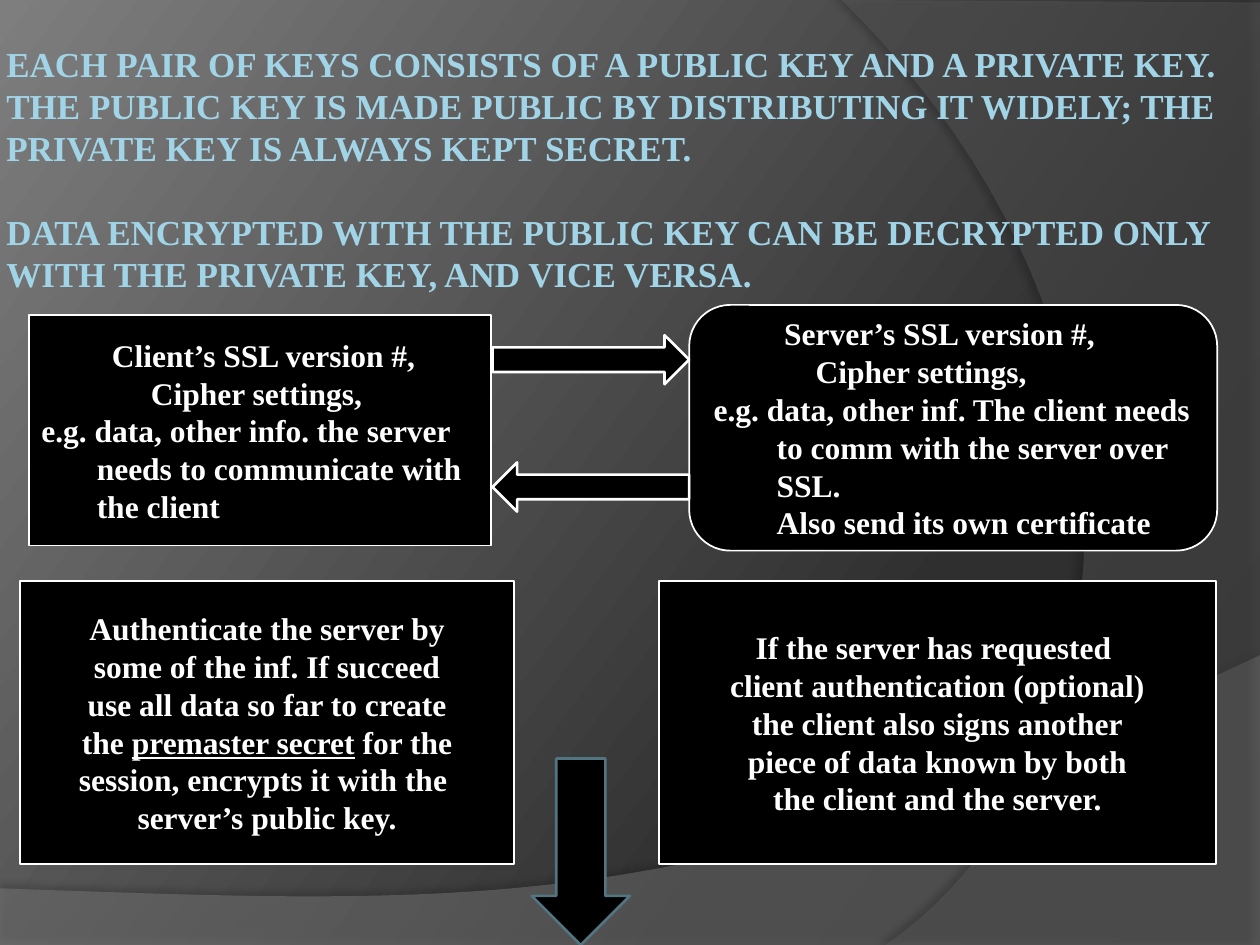
from copy import deepcopy
from lxml import etree
from pptx import Presentation
from pptx import util as u
from pptx.dml.color import RGBColor
from pptx.enum import shapes, text
from pptx.oxml import ns

Inches = u.Inches
COLORS = {
    "black": "000000", "white": "FFFFFF", "title": "A1D4E7", "arrow": "517682",
    "dark": "282828", "middle": "2F2F2F", "light": "7E7E7E",
    "wave": "7F7F7F", "curve": "5E5E5E",
}
FONT = "Times New Roman"


def color(name):
    return RGBColor.from_string(COLORS[name])


def format_runs(paragraph, size, color_name):
    for run in paragraph.runs:
        run.font.name = FONT
        run.font.size = u.Pt(size)
        run.font.bold = True
        run.font.color.rgb = color(color_name)


presentation = Presentation()
presentation.slide_width = Inches(10)
presentation.slide_height = Inches(7.5)
slide = presentation.slides.add_slide(presentation.slide_layouts[5])

background = slide.background.fill
background.gradient()
background.gradient_angle = 143
first_stop, last_stop = background.gradient_stops
first_stop.color.rgb, first_stop.position = color("dark"), 0
last_stop.color.rgb, last_stop.position = color("light"), 1
stop_list = slide.background._cSld.find(".//" + ns.qn("a:gsLst"))
stop_list.insert(1, deepcopy(stop_list[0]))
middle_stop = background.gradient_stops[1]
middle_stop.color.rgb, middle_stop.position = color("middle"), 0.3

decorations = [
    ("wave", 45, [(0, 7.05), (0, 7.51), (10, 7.51)],
     [(10, 5.2), (5.59, 7.29), (3.91, 7.19), (0, 7.05)], (35, 4, 3.5, 270)),
    ("curve", 40, [(10, 0.02), (10, 7.5)],
     [(7.03, 7.5), (8.91, 6.19), (9.47, 2.75), (6.68, 0)], (45, 4, 4, 180)),
]
STEPS = 40
for index, (name, opacity, corners, bezier, shadow) in enumerate(decorations):
    points = list(corners)
    for step in range(STEPS + 1):
        t = step / STEPS
        weights = ((1 - t) ** 3, 3 * t * (1 - t) ** 2, 3 * t ** 2 * (1 - t), t ** 3)
        points.append(tuple(sum(w * point[axis] for w, point in zip(weights, bezier))
                            for axis in (0, 1)))
    points = [(Inches(x), Inches(y)) for x, y in points]
    builder = slide.shapes.build_freeform(*points[0])
    builder.add_line_segments(points[1:], close=True)
    shape = builder.convert_to_shape()
    shape.fill.solid()
    shape.fill.fore_color.rgb = color(name)
    shape.line.fill.background()
    shape.shadow.inherit = False
    properties = shape._element.spPr
    fill_color = properties.find(ns.qn("a:solidFill"))[0]
    etree.SubElement(fill_color, ns.qn("a:alpha"), val=str(opacity * 1000))
    shadow_opacity, blur, distance, angle = shadow
    outer = etree.SubElement(
        properties.find(ns.qn("a:effectLst")), ns.qn("a:outerShdw"),
        blurRad=str(u.Pt(blur)), dist=str(u.Pt(distance)),
        dir=str(angle * 60000), algn="ctr", rotWithShape="0")
    shadow_color = etree.SubElement(outer, ns.qn("a:srgbClr"), val=COLORS["black"])
    etree.SubElement(shadow_color, ns.qn("a:alpha"), val=str(shadow_opacity * 1000))
    slide.shapes._spTree.insert(2 + index, shape._element)

title = slide.shapes.title
title.left, title.top, title.width, title.height = 0, 0, Inches(10), Inches(7.5)
frame = title.text_frame
frame.word_wrap = True
frame.auto_size = text.MSO_AUTO_SIZE.NONE
frame.vertical_anchor = text.MSO_ANCHOR.TOP
frame.margin_left = frame.margin_right = Inches(0.05)
frame.margin_top, frame.margin_bottom = Inches(0.34), 0
frame.text = (
    "EACH PAIR OF KEYS CONSISTS OF A PUBLIC KEY AND A PRIVATE KEY. "
    "THE PUBLIC KEY IS MADE PUBLIC BY DISTRIBUTING IT WIDELY; "
    "THE PRIVATE KEY IS ALWAYS KEPT SECRET.\n"
    "DATA ENCRYPTED WITH THE PUBLIC KEY CAN BE DECRYPTED ONLY "
    "WITH THE PRIVATE KEY, AND VICE VERSA.")
for paragraph in frame.paragraphs:
    paragraph.alignment = text.PP_ALIGN.LEFT
    paragraph.space_before = u.Pt(0)
    format_runs(paragraph, 20, "title")
frame.paragraphs[1].space_before = u.Pt(24)

KIND = shapes.MSO_SHAPE
LEFT, CENTER = text.PP_ALIGN.LEFT, text.PP_ALIGN.CENTER
items = [
    (KIND.RECTANGLE, (0.23, 2.5, 3.67, 1.83), "white", 1, LEFT, [
        (0.56, "Client’s SSL version #,"),
        (0.87, "Cipher settings,"),
        (0, "e.g. data, other info. the server"),
        (0.44, "needs to communicate with"),
        (0.44, "the client")]),
    (KIND.ROUNDED_RECTANGLE, (5.47, 2.42, 4.19, 1.95), "white", 1, LEFT, [
        (0.56, "Server’s SSL version #,"),
        (0.81, "Cipher settings,"),
        (0, "e.g. data, other inf. The client needs"),
        (0.5, "to comm with the server over"),
        (0.5, "SSL."),
        (0.5, "Also send its own certificate")]),
    (KIND.RIGHT_ARROW, (3.91, 2.66, 1.56, 0.39), "white", 1.5, CENTER, []),
    (KIND.LEFT_ARROW, (3.91, 3.67, 1.56, 0.39), "white", 1.5, CENTER, []),
    (KIND.RECTANGLE, (0.16, 4.61, 3.92, 2.25), "white", 1, CENTER, [
        (0, "Authenticate the server by"),
        (0, "some of the inf. If succeed"),
        (0, "use all data so far to create"),
        (0, "the _premaster secret_ for the"),
        (0, "session, encrypts it with the "),
        (0, "server’s public key.")]),
    (KIND.RECTANGLE, (5.23, 4.61, 4.42, 2.25), "white", 1, CENTER, [
        (0, "If the server has requested "),
        (0, "client authentication (optional)"),
        (0, "the client also signs another"),
        (0, "piece of data known by both"),
        (0, "the client and the server.")]),
    (KIND.DOWN_ARROW, (4.22, 6.02, 0.78, 1.48), "arrow", 1.5, CENTER, []),
]
for kind, box, line_color, line_width, alignment, lines in items:
    shape = slide.shapes.add_shape(kind, *map(Inches, box))
    shape.shadow.inherit = False
    shape.fill.solid()
    shape.fill.fore_color.rgb = color("black")
    shape.line.color.rgb = color(line_color)
    shape.line.width = u.Pt(line_width)
    frame = shape.text_frame
    frame.word_wrap = True
    frame.vertical_anchor = text.MSO_ANCHOR.MIDDLE
    if alignment == LEFT:
        frame.margin_right = 0
    for index, (indent, words) in enumerate(lines):
        paragraph = frame.add_paragraph() if index else frame.paragraphs[0]
        paragraph.alignment = alignment
        if indent:
            paragraph._p.get_or_add_pPr().set("marL", str(Inches(indent)))
        for part, piece in enumerate(words.split("_")):
            run = paragraph.add_run()
            run.text = piece
            if part == 1:
                run.font.underline = True
        format_runs(paragraph, 18, "white")

presentation.save("out.pptx")
